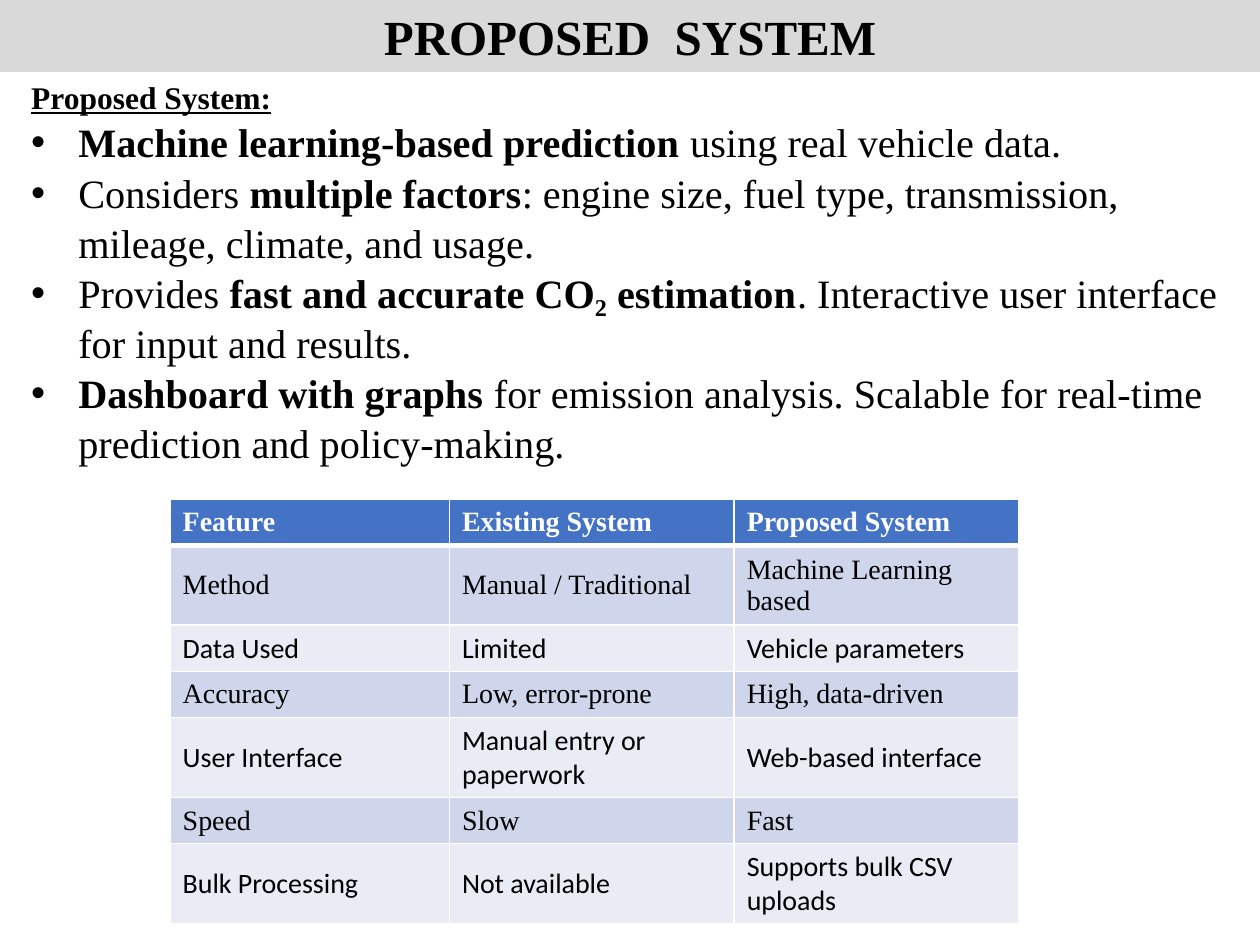
from lxml import etree
from pptx import Presentation
from pptx.dml.color import RGBColor
from pptx.enum.shapes import MSO_SHAPE
from pptx.enum.text import MSO_ANCHOR, PP_ALIGN
from pptx.oxml.ns import qn
from pptx.util import Cm, Pt

RECTANGLE = MSO_SHAPE.RECTANGLE
MIDDLE = MSO_ANCHOR.MIDDLE
CENTER = PP_ALIGN.CENTER

SERIF, SANS = "Times New Roman", "Calibri"
BLACK, WHITE, GREY = "000000", "FFFFFF", "D9D9D9"
HEADER_BLUE, BAND_DARK, BAND_LIGHT = "4472C4", "CFD5EA", "E9EBF5"

BULLETS = [
    [("Machine learning-based prediction ", True), ("using real vehicle data.", False)],
    [("Considers ", False), ("multiple factors", True),
     (": engine size, fuel type, transmission, mileage, climate, and usage.", False)],
    [("Provides ", False), ("fast and accurate CO₂ estimation", True),
     (". Interactive user interface for input and results.", False)],
    [("Dashboard with graphs ", True),
     ("for emission analysis. Scalable for real-time prediction and policy-making.", False)],
]

COMPARISON = [
    ("Feature", "Existing System", "Proposed System"),
    ("Method", "Manual / Traditional", "Machine Learning based"),
    ("Data Used", "Limited", "Vehicle parameters"),
    ("Accuracy", "Low, error-prone", "High, data-driven"),
    ("User Interface", "Manual entry or paperwork", "Web-based interface"),
    ("Speed", "Slow", "Fast"),
    ("Bulk Processing", "Not available", "Supports bulk CSV uploads"),
]
COLUMN_WIDTHS = (5.63, 5.74, 5.74)
SINGLE_ROW, DOUBLE_ROW = 0.93, 1.61
DOUBLE_ROWS = (1, 4, 6)


def color(value):
    return RGBColor.from_string(value)


def add_span(para, text, ink=BLACK, **formats):
    span = para.add_run()
    span.text = text
    for name, value in formats.items():
        setattr(span.font, name, value)
    span.font.color.rgb = color(ink)


def add_bullet(para, indent):
    properties = para._p.get_or_add_pPr()
    properties.set("marL", str(indent))
    properties.set("indent", str(-indent))
    etree.SubElement(properties, qn("a:buFont")).set("typeface", "Arial")
    etree.SubElement(properties, qn("a:buChar")).set("char", "•")


def add_borders(cell, bottom_width):
    properties = cell._tc.get_or_add_tcPr()
    for side, width in (("L", 1), ("R", 1), ("T", 1), ("B", bottom_width)):
        line = etree.SubElement(properties, qn(f"a:ln{side}"), w=str(Pt(width)))
        fill = etree.SubElement(line, qn("a:solidFill"))
        etree.SubElement(fill, qn("a:srgbClr")).set("val", WHITE)


def add_title_band(page, left, top, width, height):
    band = page.shapes.add_shape(RECTANGLE, Cm(left), Cm(top), Cm(width), Cm(height))
    band.shadow.inherit = False
    band.fill.solid()
    band.fill.fore_color.rgb = color(GREY)
    band.line.fill.background()
    band.text_frame.vertical_anchor = MIDDLE
    para = band.text_frame.paragraphs[0]
    para.alignment = CENTER
    add_span(para, "PROPOSED  SYSTEM", name=SERIF, size=Pt(28), bold=True)


def add_summary(page, left, top, width, height):
    box = page.shapes.add_textbox(Cm(left), Cm(top), Cm(width), Cm(height))
    frame = box.text_frame
    frame.word_wrap = True
    add_span(frame.paragraphs[0], "Proposed System:",
             name=SERIF, size=Pt(18), bold=True, underline=True)
    for bullet in BULLETS:
        para = frame.add_paragraph()
        para.level = 1
        para.line_spacing = 1.04
        add_bullet(para, Cm(0.95))
        for text, bold in bullet:
            add_span(para, text, name=SERIF, size=Pt(23), bold=bold)


def add_comparison(page, left, top):
    heights = [DOUBLE_ROW if index in DOUBLE_ROWS else SINGLE_ROW
               for index in range(len(COMPARISON))]
    table = page.shapes.add_table(
        len(COMPARISON), len(COLUMN_WIDTHS), Cm(left), Cm(top),
        Cm(sum(COLUMN_WIDTHS)), Cm(sum(heights))).table
    for column, width in zip(table.columns, COLUMN_WIDTHS):
        column.width = Cm(width)
    for index, texts in enumerate(COMPARISON):
        table.rows[index].height = Cm(heights[index])
        header = index == 0
        dark = index % 2 == 1
        shade = HEADER_BLUE if header else BAND_DARK if dark else BAND_LIGHT
        for cell, text in zip(table.rows[index].cells, texts):
            add_borders(cell, 3 if header else 1)
            cell.fill.solid()
            cell.fill.fore_color.rgb = color(shade)
            cell.vertical_anchor = MIDDLE
            add_span(cell.text_frame.paragraphs[0], text, WHITE if header else BLACK,
                     name=SERIF if header or dark else SANS, size=Pt(16), bold=header)


def main():
    deck = Presentation()
    deck.slide_width, deck.slide_height = Cm(25.4), Cm(19.05)
    page = deck.slides.add_slide(deck.slide_layouts[6])
    add_title_band(page, 0, 0, 25.4, 1.45)
    add_summary(page, 0.38, 1.45, 24.66, 8.69)
    add_comparison(page, 3.43, 10.06)
    deck.save("out.pptx")


if __name__ == "__main__":
    main()
